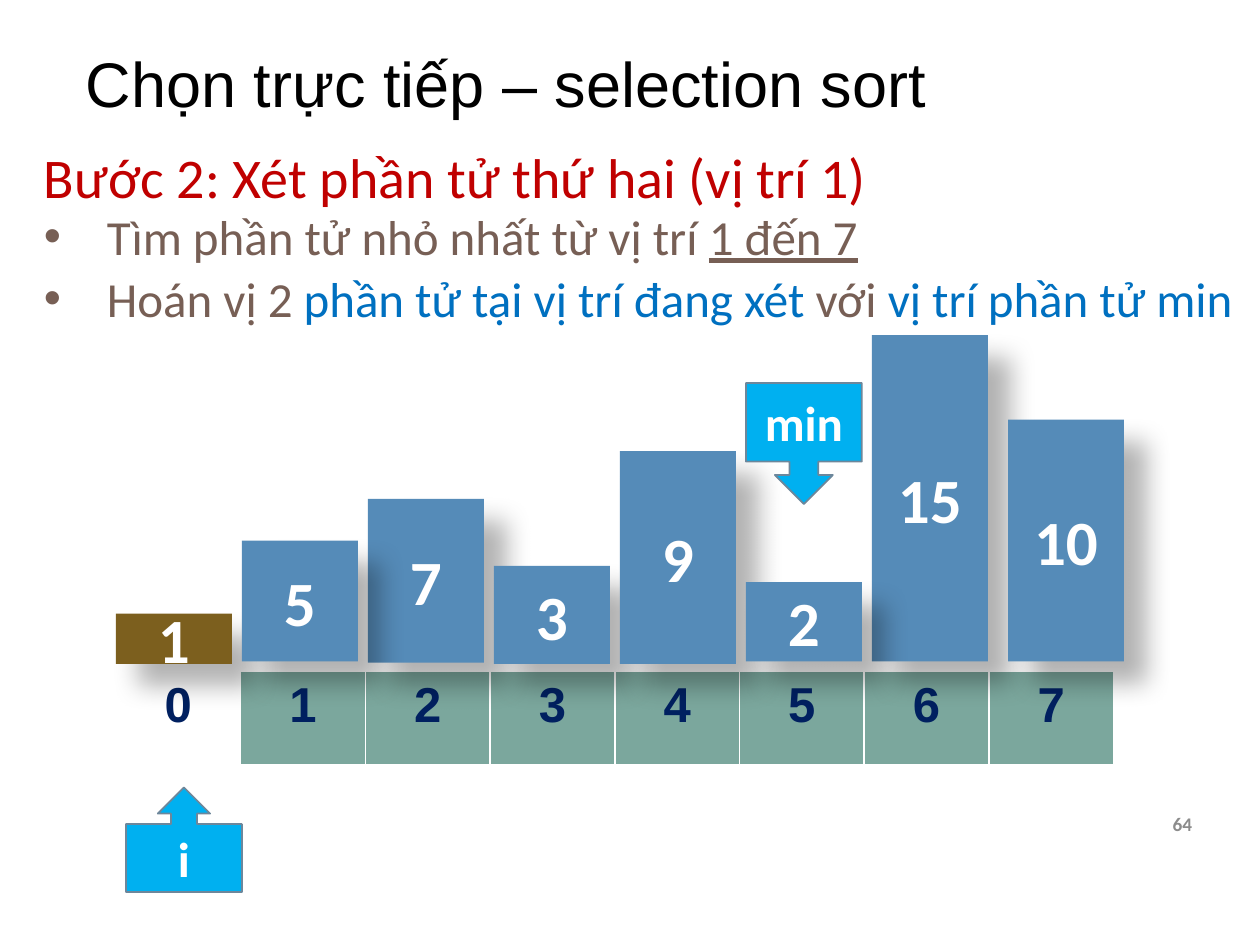
"""Build the selection sort slide: step 2, finding the minimum from position 1."""
from lxml import etree
from pptx import Presentation
from pptx.dml.color import RGBColor
from pptx.enum.shapes import MSO_SHAPE as SHAPE
from pptx.enum.text import MSO_ANCHOR as ANCHOR, PP_ALIGN as ALIGN
from pptx.oxml import parse_xml
from pptx.oxml.ns import nsdecls, qn
from pptx.util import Inches, Pt

BLACK = RGBColor(0x00, 0x00, 0x00)
WHITE = RGBColor(0xFF, 0xFF, 0xFF)
NAVY = RGBColor(0x00, 0x20, 0x60)
RED = RGBColor(0xC0, 0x00, 0x00)
BROWN = RGBColor(0x77, 0x5F, 0x55)
BLUE = RGBColor(0x00, 0x70, 0xC0)
GREY = RGBColor(0x8C, 0x8C, 0x8C)
TEAL = RGBColor(0x7B, 0xA7, 0x9D)
BAR = RGBColor(0x55, 0x8B, 0xB8)
SORTED = RGBColor(0x7C, 0x5F, 0x1E)
CYAN = RGBColor(0x00, 0xB0, 0xF0)
OUTLINE = RGBColor(0x6D, 0x87, 0x9B)


def style(r, size, color, bold=False, name="Calibri"):
    r.font.name, r.font.size, r.font.bold = name, Pt(size), bold
    r.font.color.rgb = color


def add_block(kind, box, fill, text, size):
    sp = s.shapes.add_shape(kind, *map(Inches, box))
    sp.shadow.inherit = False
    sp.fill.solid()
    sp.fill.fore_color.rgb = fill
    tf = sp.text_frame
    tf.text = text
    tf.vertical_anchor = ANCHOR.MIDDLE
    tf.paragraphs[0].alignment = ALIGN.CENTER
    style(tf.paragraphs[0].runs[0], size, WHITE, True)
    return sp


prs = Presentation()
prs.slide_width, prs.slide_height = Inches(10), Inches(7.5)
s = prs.slides.add_slide(prs.slide_layouts[5])

title = s.shapes.title
title.left, title.top = Inches(0.58), Inches(0.22)
title.width, title.height = Inches(8.83), Inches(0.95)
title.text_frame.text = "Chọn trực tiếp – selection sort"
title.text_frame.vertical_anchor = ANCHOR.MIDDLE
p = title.text_frame.paragraphs[0]
p.alignment, p.line_spacing = ALIGN.LEFT, 0.9
style(p.runs[0], 36, BLACK, name="Arial")

frame = s.shapes.add_table(1, 8, Inches(0.92), Inches(5.33), Inches(7.92), Inches(0.75))
table = frame.table
table.first_row = table.horz_banding = False
for i, cell in enumerate(table.rows[0].cells):
    table.columns[i].width = Inches(0.99)
    cell.text = str(i)
    p = cell.text_frame.paragraphs[0]
    p.alignment = ALIGN.CENTER
    style(p.runs[0], 28, NAVY, True, "Arial")
    tc_pr = cell._tc.get_or_add_tcPr()
    for side, width in (("L", 1), ("R", 1), ("T", 1), ("B", 3)):
        tc_pr.append(parse_xml(
            f'<a:ln{side} {nsdecls("a")} w="{Pt(width)}"><a:solidFill>'
            f'<a:srgbClr val="{WHITE}"/></a:solidFill></a:ln{side}>'))
    if i == 0:
        cell.fill.background()
    else:
        cell.fill.solid()
        cell.fill.fore_color.rgb = TEAL

bars = [
    ("7", 2.92, 3.96, 1.3, BAR),
    ("3", 3.92, 4.49, 0.78, BAR),
    ("9", 4.92, 3.58, 1.69, BAR),
    ("15", 6.92, 2.66, 2.59, BAR),
    ("10", 8, 3.33, 1.92, BAR),
    ("1", 0.92, 4.87, 0.4, SORTED),
    ("5", 1.92, 4.29, 0.96, BAR),
    ("2", 5.92, 4.62, 0.63, BAR),
]
for value, left, top, height, color in bars:
    sp = add_block(SHAPE.RECTANGLE, (left, top, 0.92, height), color, value, 36)
    sp.line.fill.background()
    effects = sp._element.spPr.find(qn("a:effectLst"))
    shadow = etree.SubElement(effects, qn("a:outerShdw"), blurRad=str(Pt(15)),
                              dist=str(Pt(18)), dir="2700000", algn="tl", rotWithShape="0")
    tint = etree.SubElement(shadow, qn("a:srgbClr"), val=str(BLACK))
    etree.SubElement(tint, qn("a:alpha"), val="30000")

callouts = [
    (SHAPE.UP_ARROW_CALLOUT, (1, 6.25, 0.92, 0.83), "i"),
    (SHAPE.DOWN_ARROW_CALLOUT, (5.92, 3.04, 0.92, 0.96), "min"),
]
for kind, box, text in callouts:
    sp = add_block(kind, box, CYAN, text, 28)
    sp.line.color.rgb = OUTLINE
    sp.line.width = Pt(1)

texts = [
    ((0.25, 1.08, 7.42, 0.64), 32, False,
     [("Bước 2: Xét phần tử thứ hai (vị trí 1)", RED, False)]),
    ((0.25, 1.59, 7.42, 0.57), 28, True,
     [("Tìm phần tử nhỏ nhất từ vị trí ", BROWN, False), ("1 đến 7", BROWN, True)]),
    ((0.25, 2.08, 9.75, 0.57), 28, True,
     [("Hoán vị 2 ", BROWN, False), ("phần tử tại vị trí đang xét ", BLUE, False),
      ("với ", BROWN, False), ("vị trí phần tử min", BLUE, False)]),
]
for box, size, bullet, runs in texts:
    tf = s.shapes.add_textbox(*map(Inches, box)).text_frame
    tf.word_wrap = True
    p = tf.paragraphs[0]
    if bullet:
        p_pr = p._p.get_or_add_pPr()
        p_pr.set("marL", str(Inches(0.5)))
        p_pr.set("indent", str(Inches(-0.5)))
        etree.SubElement(p_pr, qn("a:buFont"), typeface="Arial")
        etree.SubElement(p_pr, qn("a:buChar"), char="•")
    for text, color, underline in runs:
        r = p.add_run()
        r.text = text
        style(r, size, color)
        r.font.underline = underline

tf = s.shapes.add_textbox(Inches(8.89), Inches(6.25), Inches(0.67), Inches(0.57)).text_frame
tf.text = "64"
tf.word_wrap = True
tf.vertical_anchor = ANCHOR.MIDDLE
tf.paragraphs[0].alignment = ALIGN.RIGHT
style(tf.paragraphs[0].runs[0], 11, GREY, True)

prs.save("out.pptx")
